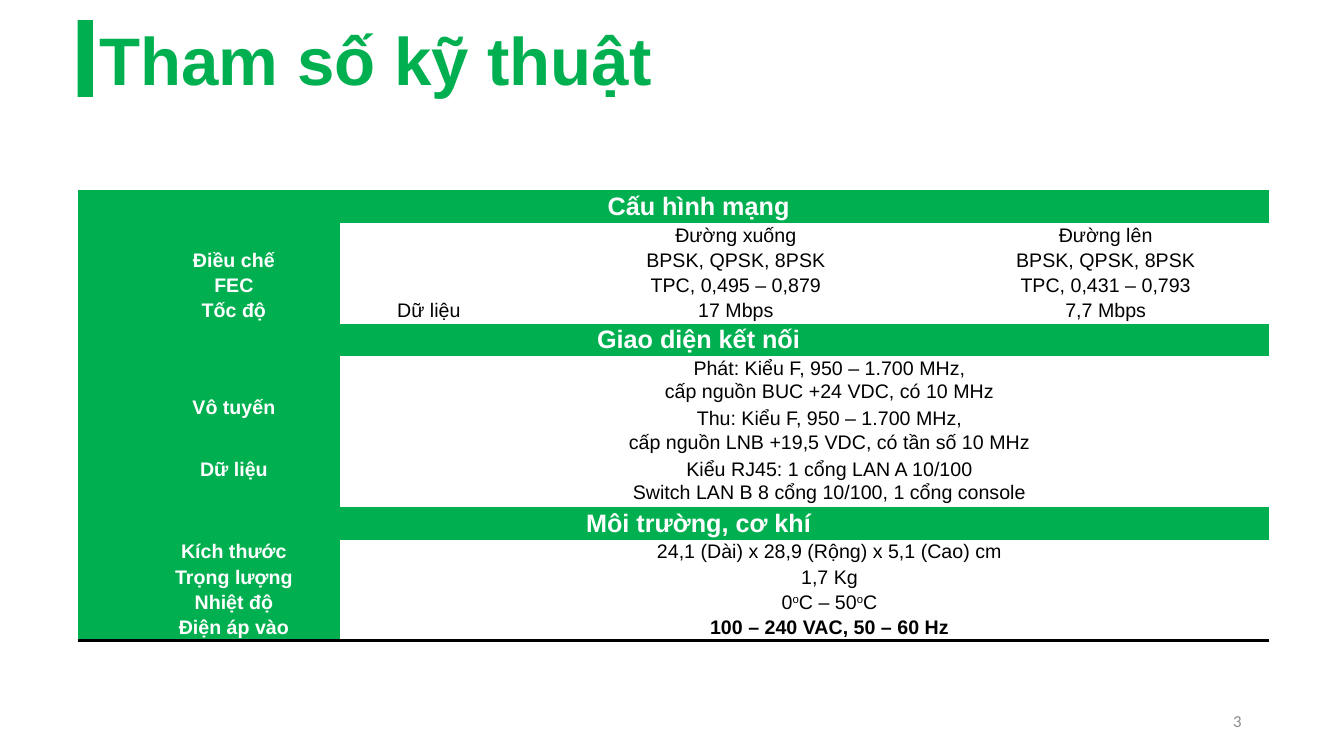
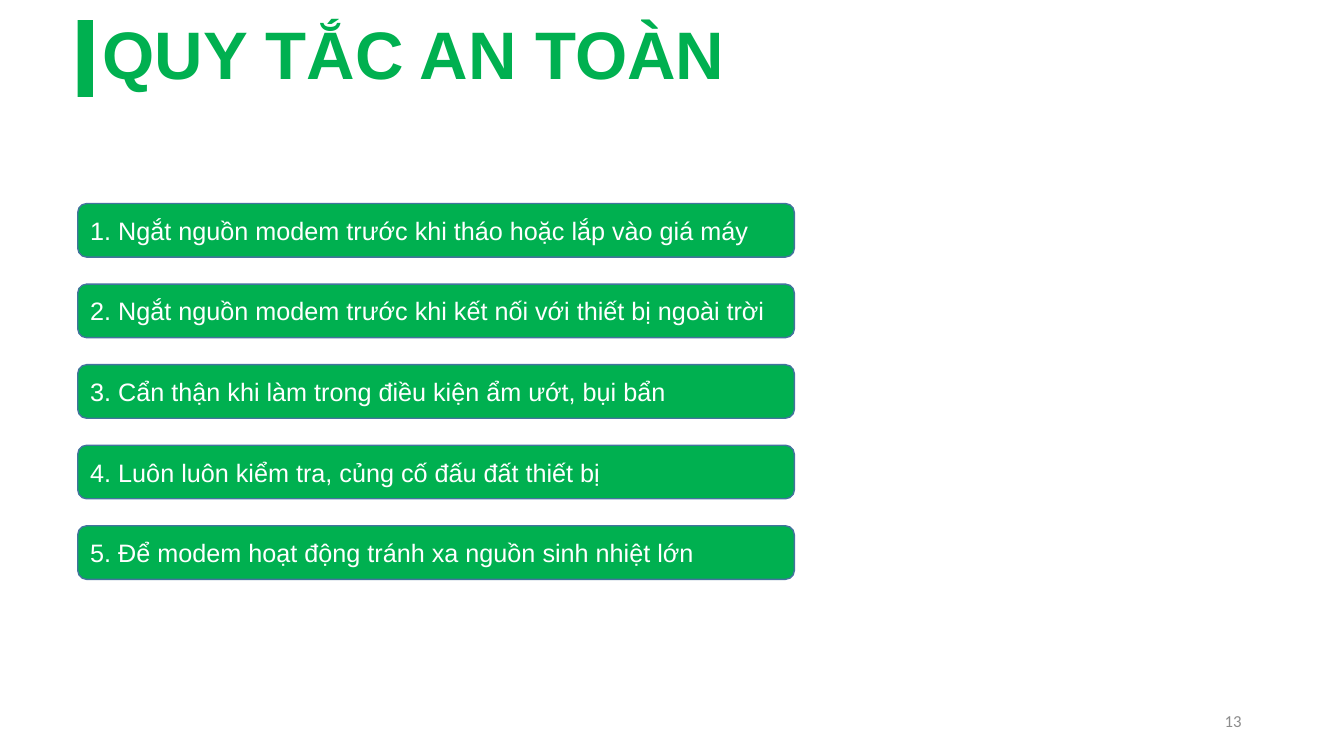
from dataclasses import dataclass
from pptx import Presentation
from pptx.dml.color import RGBColor
from pptx.enum.shapes import MSO_SHAPE
from pptx.enum.text import MSO_ANCHOR, PP_ALIGN
from pptx.oxml.ns import qn
from pptx.oxml.xmlchemy import OxmlElement
from pptx.util import Cm, Pt


@dataclass(frozen=True)
class Theme:
    """Colours, fonts, type sizes and the left edge shared by the slides."""
    green: str = "00B050"
    white: str = "FFFFFF"
    black: str = "000000"
    grey: str = "8C8C8C"
    edge: str = "43739E"
    font: str = "Arial"
    foot: str = "Calibri"
    title: int = 48
    head: int = 18
    body: int = 14
    small: int = 12
    left: float = 1.96


THEME = Theme()
LINE, PAIR, BAND = 0.63, 1.27, 0.75
WIDTHS = (6.6, 4.78, 9.14, 9.5)
SPECS = (
    (BAND, ("Cấu hình mạng",)),
    (LINE, ("", "", "Đường xuống", "Đường lên")),
    (LINE, ("Điều chế", "", "BPSK, QPSK, 8PSK", "BPSK, QPSK, 8PSK")),
    (LINE, ("FEC", "", "TPC, 0,495 – 0,879", "TPC, 0,431 – 0,793")),
    (LINE, ("Tốc độ", "Dữ liệu", "17 Mbps", "7,7 Mbps")),
    (BAND, ("Giao diện kết nối",)),
    (PAIR, ("Vô tuyến", "Phát: Kiểu F, 950 – 1.700 MHz,\ncấp nguồn BUC +24 VDC, có 10 MHz")),
    (PAIR, ("", "Thu: Kiểu F, 950 – 1.700 MHz,\ncấp nguồn LNB +19,5 VDC, có tần số 10 MHz")),
    (1.2, ("Dữ liệu", "Kiểu RJ45: 1 cổng LAN A 10/100\nSwitch LAN B 8 cổng 10/100, 1 cổng console")),
    (BAND, ("Môi trường, cơ khí",)),
    (LINE, ("Kích thước", "24,1 (Dài) x 28,9 (Rộng) x 5,1 (Cao) cm")),
    (LINE, ("Trọng lượng", "1,7 Kg")),
    (LINE, ("Nhiệt độ", "0^o^C – 50^o^C")),
    (LINE, ("Điện áp vào", "100 – 240 VAC, 50 – 60 Hz")),
)
RULES = (
    "1. Ngắt nguồn modem trước khi tháo hoặc lắp vào giá máy",
    "2. Ngắt nguồn modem trước khi kết nối với thiết bị ngoài trời",
    "3. Cẩn thận khi làm trong điều kiện ẩm ướt, bụi bẩn",
    "4. Luôn luôn kiểm tra, củng cố đấu đất thiết bị",
    "5. Để modem hoạt động tránh xa nguồn sinh nhiệt lớn",
)


def style(para, size, color, bold=False, align=PP_ALIGN.LEFT, face=THEME.font):
    """Format a paragraph and all its runs."""
    para.alignment = align
    for run in para.runs:
        font = run.font
        font.name, font.size, font.bold = face, Pt(size), bold
        font.color.rgb = RGBColor.from_string(color)


def paint(item, color):
    """Give a shape or cell a solid fill."""
    item.fill.solid()
    item.fill.fore_color.rgb = RGBColor.from_string(color)


def add_text(slide, box, text):
    """Add a wrapping text box and return its frame."""
    frame = slide.shapes.add_textbox(*map(Cm, box)).text_frame
    frame.word_wrap = True
    frame.text = text
    return frame


def add_block(slide, kind, box, color):
    """Add a filled shape with neither shadow nor outline."""
    shape = slide.shapes.add_shape(kind, *map(Cm, box))
    shape.shadow.inherit = False
    paint(shape, color)
    shape.line.fill.background()
    return shape


def add_page(deck, title, box, align, number):
    """Add a slide with its green bar, title and page number."""
    slide = deck.slides.add_slide(deck.slide_layouts[6])
    add_block(slide, MSO_SHAPE.RECTANGLE, (THEME.left, 0.51, 0.38, 1.93), THEME.green)
    para = add_text(slide, box, title).paragraphs[0]
    para.line_spacing = 0.84
    style(para, THEME.title, THEME.green, True, align)
    frame = add_text(slide, (23.92, 17.65, 7.62, 1.01), number)
    frame.vertical_anchor = MSO_ANCHOR.MIDDLE
    style(frame.paragraphs[0], THEME.small, THEME.grey, align=PP_ALIGN.RIGHT, face=THEME.foot)
    return slide


def raise_marks(para):
    """Turn the parts between carets into superscript runs."""
    parts = para.text.split("^")
    para.text = parts[0]
    for pos, part in enumerate(parts[1:], 1):
        run = para.add_run()
        run.text = part
        if pos % 2:
            run.font._element.set("baseline", "30000")


def fill_cell(cell, text, color, size, ink, bold, align):
    """Set the text, margins and fill of one table cell."""
    cell.margin_left = cell.margin_right = Cm(0.18)
    cell.margin_top = cell.margin_bottom = 0
    paint(cell, color)
    cell.text_frame.text = text
    for para in cell.text_frame.paragraphs:
        raise_marks(para)
        para.line_spacing = 1.07
        style(para, size, ink, bold, align)
        para._p.get_or_add_pPr().set("marL", str(Cm(1.27)))
        if not para.text:
            end = OxmlElement("a:endParaRPr")
            end.set("sz", str(THEME.body * 100))
            para._p.append(end)


def rule_off(cell):
    """Draw a black border below a cell."""
    line = OxmlElement("a:lnB")
    line.set("w", str(Pt(2)))
    solid = OxmlElement("a:solidFill")
    color = OxmlElement("a:srgbClr")
    color.set("val", THEME.black)
    solid.append(color)
    line.append(solid)
    cell._tc.get_or_add_tcPr().insert(0, line)


def add_grid(slide):
    """Add the specification table, the last text of a row filling its width."""
    count, last = len(WIDTHS), len(SPECS) - 1
    box = (THEME.left, 4.8, sum(WIDTHS), sum(high for high, _ in SPECS))
    table = slide.shapes.add_table(len(SPECS), count, *map(Cm, box)).table
    table.first_row = table.horz_banding = False
    mark = table._tbl.tblPr.find(qn("a:tableStyleId"))
    mark.text = "{2D5ABB26-0587-4C30-8999-92F81FD0307C}"
    for col, wide in zip(table.columns, WIDTHS):
        col.width = Cm(wide)
    for row, (high, texts) in enumerate(SPECS):
        table.rows[row].height = Cm(high)
        band = len(texts) == 1
        for col in range(count):
            cell = table.cell(row, col)
            text = texts[col] if col < len(texts) else ""
            label = band or col == 0
            left = col == 1 and len(texts) == count
            fill_cell(cell, text,
                      THEME.green if label else THEME.white,
                      THEME.head if band else THEME.body,
                      THEME.white if label else THEME.black,
                      label or row == last,
                      PP_ALIGN.LEFT if left else PP_ALIGN.CENTER)
            if row == last:
                rule_off(cell)
        if len(texts) < count:
            table.cell(row, len(texts) - 1).merge(table.cell(row, count - 1))
    table.cell(1, 1).merge(table.cell(3, 1))
    table.cell(6, 0).merge(table.cell(7, 0))
    table.cell(6, 0).vertical_anchor = MSO_ANCHOR.MIDDLE


def add_rules(slide):
    """Stack the safety rules as evenly spaced rounded bars."""
    for pos, text in enumerate(RULES):
        box = (THEME.left, 5.13 + pos * 2.03, 18.06, 1.35)
        bar = add_block(slide, MSO_SHAPE.ROUNDED_RECTANGLE, box, THEME.green)
        bar.line.color.rgb = RGBColor.from_string(THEME.edge)
        bar.line.width = Pt(1)
        frame = bar.text_frame
        frame.text = text
        frame.vertical_anchor = MSO_ANCHOR.MIDDLE
        style(frame.paragraphs[0], THEME.head, THEME.white)


def main():
    """Build and save the two slides."""
    deck = Presentation()
    deck.slide_width, deck.slide_height = Cm(33.87), Cm(19.05)
    add_grid(add_page(deck, "Tham số kỹ thuật", (1.17, 0.66, 16.61, 1.93), PP_ALIGN.CENTER, "3"))
    add_rules(add_page(deck, "QUY TẮC AN TOÀN", (2.34, 0.51, 30.05, 1.93), PP_ALIGN.LEFT, "13"))
    deck.save("out.pptx")


if __name__ == "__main__":
    main()
